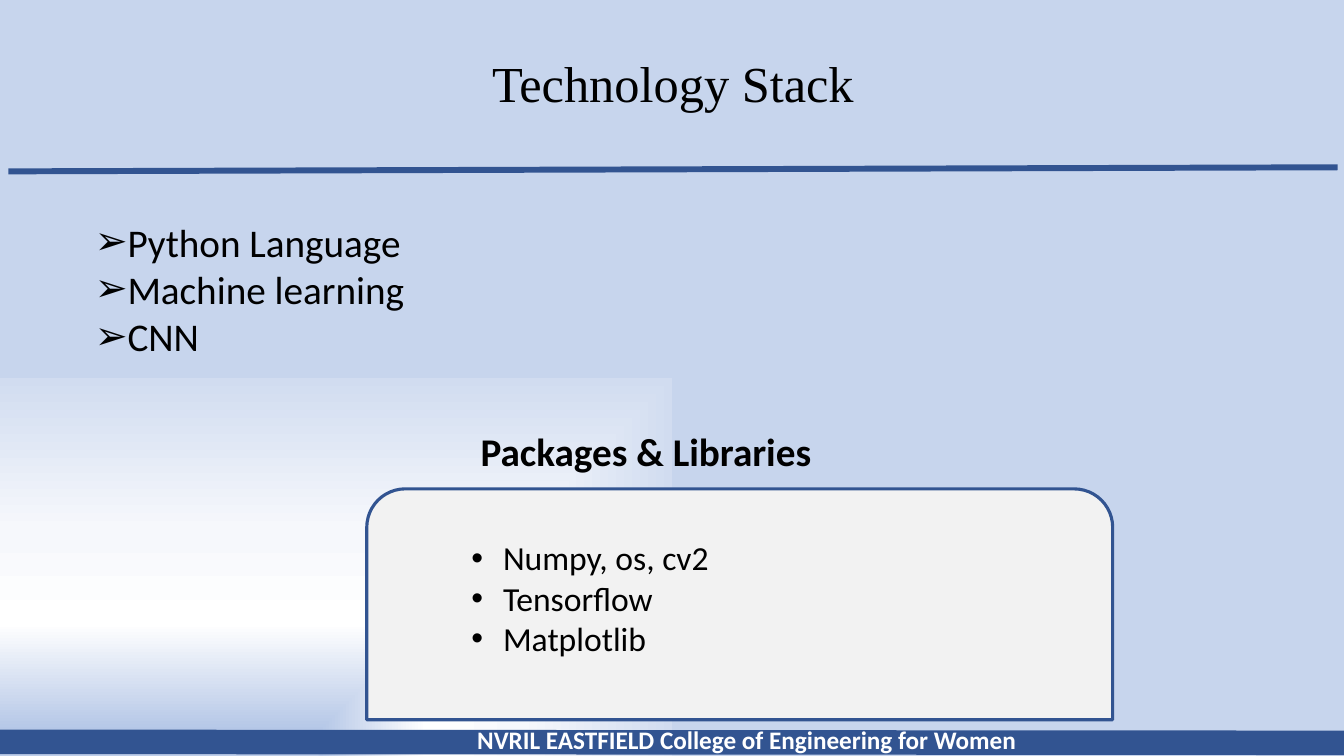
import dataclasses

import pptx
import pptx.dml.color
import pptx.enum.shapes
import pptx.enum.text
import pptx.oxml.ns
import pptx.util
from lxml import etree

Pt = pptx.util.Pt
qn = pptx.oxml.ns.qn
Anchor = pptx.enum.text.MSO_ANCHOR
Align = pptx.enum.text.PP_ALIGN


@dataclasses.dataclass(frozen=True)
class Theme:
    text: str = "000000"
    light: str = "FFFFFF"
    accent: str = "325491"
    panel: str = "F2F2F2"
    title_font: str = "Times New Roman"
    body_font: str = "Calibri"
    title_size: int = 36
    heading_size: int = 28
    item_size: int = 24
    footer_size: int = 18
    indent: float = 22.5
    gradient: tuple = (
        (6, "BECEEA"), (7, "B5C7E7"), (35, "FFFFFF"), (60, "F6F8FC"),
        (100, "D1DCF0"), (100, "ABC0E4"), (100, "C7D5ED"),
    )


THEME = Theme()


def color(value):
    return pptx.dml.color.RGBColor.from_string(value)


def place(shape, box):
    shape.left, shape.top, shape.width, shape.height = map(Pt, box)


def add_text_box(slide, box):
    return slide.shapes.add_textbox(*map(Pt, box))


def add_bullet(paragraph, symbol):
    properties = paragraph._p.get_or_add_pPr()
    properties.set("marL", str(Pt(THEME.indent)))
    properties.set("indent", str(-Pt(THEME.indent)))
    etree.SubElement(properties, qn("a:buFont")).set("typeface", "Arial")
    etree.SubElement(properties, qn("a:buChar")).set("char", symbol)


def write(shape, lines, size, font=THEME.body_font, ink=THEME.text, bold=False,
          align=Align.LEFT, anchor=Anchor.TOP, spacing=1.0, bullet=None):
    frame = shape.text_frame
    frame.word_wrap = True
    frame.auto_size = pptx.enum.text.MSO_AUTO_SIZE.NONE
    frame.vertical_anchor = anchor
    for index, line in enumerate(lines):
        paragraph = frame.add_paragraph() if index else frame.paragraphs[0]
        paragraph.alignment = align
        paragraph.line_spacing = spacing
        paragraph.space_before = Pt(0)
        if bullet:
            add_bullet(paragraph, bullet)
        run = paragraph.add_run()
        run.text = line
        run.font.name = font
        run.font.size = Pt(size)
        run.font.bold = bold
        run.font.color.rgb = color(ink)


def add_rule(slide, start, end, width):
    rule = slide.shapes.add_connector(
        pptx.enum.shapes.MSO_CONNECTOR.STRAIGHT, *map(Pt, start + end))
    rule.line.color.rgb = color(THEME.accent)
    rule.line.width = Pt(width)
    etree.SubElement(rule._element.spPr, qn("a:effectLst"))


def paint_background(slide):
    slide.background.fill.gradient()
    gradient = next(slide.element.iter(qn("a:gradFill")))
    for child in list(gradient):
        gradient.remove(child)
    stops = etree.SubElement(gradient, qn("a:gsLst"))
    for position, value in THEME.gradient:
        stop = etree.SubElement(stops, qn("a:gs"), pos=str(position * 1000))
        etree.SubElement(stop, qn("a:srgbClr"), val=value)
    shade = etree.SubElement(gradient, qn("a:path"), path="rect")
    etree.SubElement(shade, qn("a:fillToRect"), t="100000", r="100000")


def add_header(slide, box):
    left, top, width, height = box
    title = slide.shapes.title
    place(title, (left + 60, top + 28.8, width - 120, 65.5))
    write(title, ["Technology Stack"], THEME.title_size, THEME.title_font,
          align=Align.CENTER, anchor=Anchor.MIDDLE, spacing=0.9)
    bottom = top + height
    add_rule(slide, (left, bottom), (left + width, bottom - 2.9), 4.25)


def add_technologies(slide, box):
    body = slide.placeholders[1]
    place(body, box)
    write(body, ["Python Language", "Machine learning", "CNN"],
          THEME.heading_size, bullet="➢")


def add_libraries(slide, box):
    left, top, width, height = box
    panel_top = top + 47.5
    panel = slide.shapes.add_shape(
        pptx.enum.shapes.MSO_SHAPE.ROUND_2_SAME_RECTANGLE,
        *map(Pt, (left, panel_top, width, height - 47.5)))
    panel.shadow.inherit = False
    panel.fill.solid()
    panel.fill.fore_color.rgb = color(THEME.panel)
    panel.line.color.rgb = color(THEME.accent)
    panel.line.width = Pt(2.25)
    items = add_text_box(slide, (left + 67.7, panel_top + 31, 395, 94.3))
    write(items, ["Numpy, os, cv2", "Tensorflow", "Matplotlib"],
          THEME.item_size, bullet="•")
    heading = add_text_box(slide, (left + 74.2, top, 363.6, 41))
    write(heading, ["Packages & Libraries"], THEME.heading_size, bold=True)


def add_footer(slide, box):
    left, top, width, height = box
    add_rule(slide, (left, top + 15.9), (left + width, top + 16.6), 17.5)
    label = add_text_box(slide, (left + 250.5, top, 568.8, height))
    write(label, ["NVRIL EASTFIELD College of Engineering for Women"],
          THEME.footer_size, ink=THEME.light, bold=True, align=Align.CENTER)


def main():
    presentation = pptx.Presentation()
    presentation.slide_width, presentation.slide_height = Pt(960), Pt(540)
    slide = presentation.slides.add_slide(presentation.slide_layouts[1])
    paint_background(slide)
    add_header(slide, (6, 0, 949.5, 122.4))
    add_technologies(slide, (60.5, 152, 750, 108.7))
    add_libraries(slide, (262, 301.7, 532.8, 212.4))
    add_footer(slide, (-1.4, 514, 964, 28.8))
    presentation.save("out.pptx")


if __name__ == "__main__":
    main()
